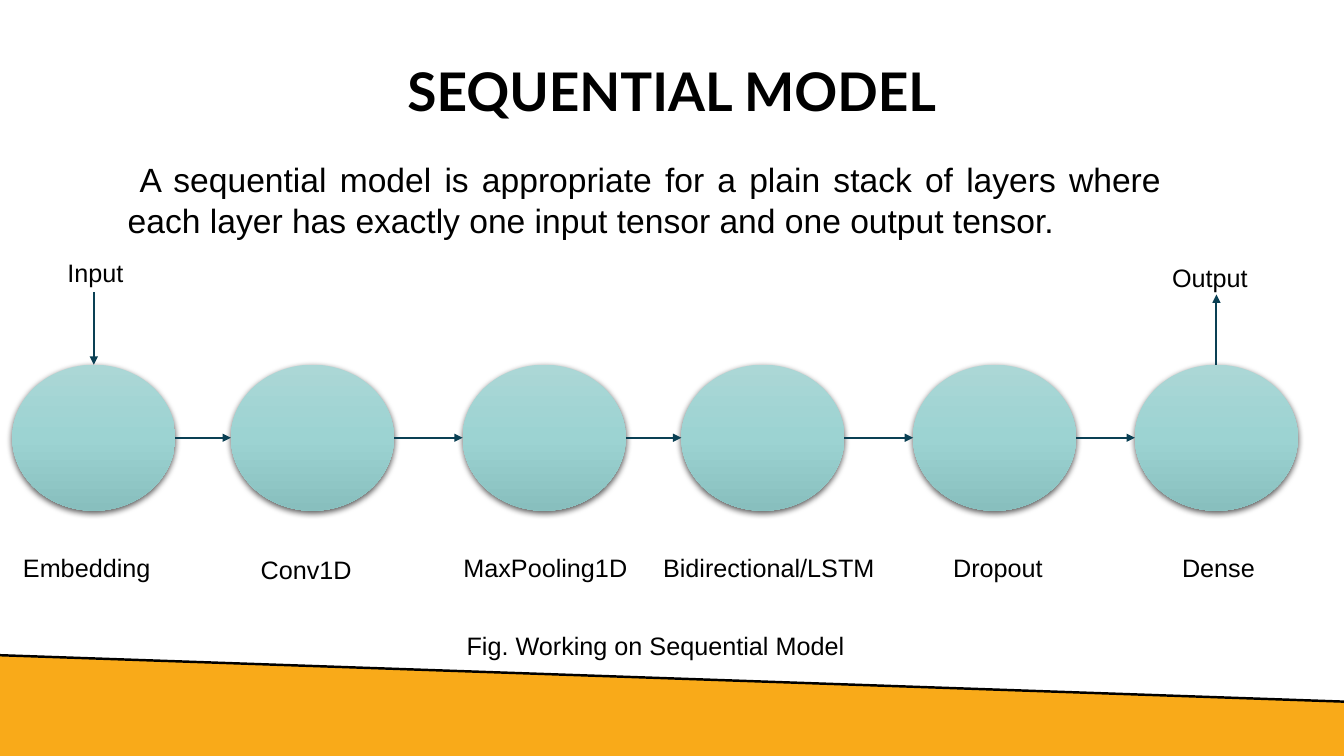
"""Build a slide on the layers of a sequential model."""
import dataclasses
import pptx
import pptx.util
import pptx.dml.color
import pptx.enum.shapes
import pptx.enum.text
import pptx.oxml
import pptx.oxml.ns

Cm = pptx.util.Cm
Align = pptx.enum.text.PP_ALIGN


@dataclasses.dataclass
class Theme:
    ink: str = "000000"
    band: str = "F9AA19"
    arrow: str = "0A4054"
    stops: tuple = ((0, "ABD7D6"), (50, "9CD3D2"), (100, "88BFBE"))
    head: str = "Lato"
    body: str = "Arial"
    title: int = 38
    text: int = 24
    label: int = 18


theme = Theme()
rgb = pptx.dml.color.RGBColor.from_string
space = pptx.oxml.ns.nsdecls("a")

deck = pptx.Presentation()
deck.slide_width, deck.slide_height = Cm(33.87), Cm(19.05)
shapes = deck.slides.add_slide(deck.slide_layouts[6]).shapes


def write(text, left, top, width, height=1.02, size=theme.label, align=Align.LEFT):
    box = shapes.add_textbox(Cm(left), Cm(top), Cm(width), Cm(height))
    box.text_frame.word_wrap = True
    para = box.text_frame.paragraphs[0]
    para.text = text
    para.alignment = align
    para.font.size = pptx.util.Pt(size)
    para.font.name = theme.body
    para.font.color.rgb = rgb(theme.ink)
    return box.text_frame


def link(start, end, color=theme.arrow, width=1.5, arrow=True):
    line = shapes.add_connector(
        pptx.enum.shapes.MSO_CONNECTOR.STRAIGHT, *map(Cm, start + end))
    line.line.color.rgb = rgb(color)
    line.line.width = pptx.util.Pt(width)
    if arrow:
        line.line._get_or_add_ln().append(
            pptx.oxml.parse_xml(f'<a:tailEnd {space} type="triangle"/>'))
    line._element.spPr.append(pptx.oxml.parse_xml(f"<a:effectLst {space}/>"))
    return line


slope = ((0, 16.51), (33.87, 17.68))
edge = [(Cm(x), Cm(y)) for x, y in slope + ((33.87, 19.05), (0, 19.05))]
outline = shapes.build_freeform(*edge[0], scale=1)
outline.add_line_segments(edge[1:], close=True)
band = outline.convert_to_shape()
band.shadow.inherit = False
band.fill.solid()
band.fill.fore_color.rgb = rgb(theme.band)
band.line.fill.background()
link(*slope, color=theme.ink, width=1.75, arrow=False)

title = write("SEQUENTIAL MODEL", 2.33, 0.53, 29.21, 3.68, theme.title, Align.CENTER)
title.vertical_anchor = pptx.enum.text.MSO_ANCHOR.MIDDLE
para = title.paragraphs[0]
para.font.name = theme.head
para.font.bold = True
para.line_spacing = 0.9

intro = write(
    "A sequential model is appropriate for a plain stack of layers where "
    "each layer has exactly one input tensor and one output tensor.",
    2.97, 3.89, 26.54, 3.33, theme.text, Align.JUSTIFY)
intro.paragraphs[0]._p.get_or_add_pPr().set("indent", str(Cm(0.3)))

wide, high, top = 4.11, 3.68, 9.19
mid = top + high / 2
layers = (
    ("Embedding", 0.31, 0.33, 13.79, 4.06),
    ("Conv1D", 5.82, 6.32, 13.84, 3.07),
    ("MaxPooling1D", 11.66, 11.43, 13.79, 5.03),
    ("Bidirectional/LSTM", 17.17, 16.46, 13.79, 6.3),
    ("Dropout", 23.01, 23.77, 13.79, 4.78),
    ("Dense", 28.6, 29.54, 13.79, 4.3),
)
stops = "".join(
    f'<a:gs pos="{spot * 1000}"><a:srgbClr val="{color}"/></a:gs>'
    for spot, color in theme.stops)
grad = (f'<a:gradFill {space} rotWithShape="1"><a:gsLst>{stops}</a:gsLst>'
        '<a:lin ang="5400000" scaled="0"/></a:gradFill>')
shade = (f'<a:outerShdw {space} blurRad="57150" dist="19050" dir="5400000" '
         'algn="ctr" rotWithShape="0"><a:srgbClr val="000000">'
         '<a:alpha val="63000"/></a:srgbClr></a:outerShdw>')

nodes = []
for name, left, start, drop, span in layers:
    node = shapes.add_shape(
        pptx.enum.shapes.MSO_SHAPE.OVAL, Cm(left), Cm(top), Cm(wide), Cm(high))
    node.line.fill.background()
    node.shadow.inherit = False
    props = node._element.spPr
    props.insert(2, pptx.oxml.parse_xml(grad))
    props.find(pptx.oxml.ns.qn("a:effectLst")).append(pptx.oxml.parse_xml(shade))
    nodes.append(node)
    write(name, start, drop, span)

for this, after in zip(layers, layers[1:]):
    link((this[1] + wide, mid), (after[1], mid))

first, last = (layer[1] + wide / 2 for layer in (layers[0], layers[-1]))
link((first, 7.37), (first, top)).end_connect(nodes[0], 0)
link((last, top), (last, 7.42)).begin_connect(nodes[-1], 0)
write("Input", 1.45, 6.35, 2.39)
write("Output", 29.29, 6.48, 3.23)
write("Fig. Working on Sequential Model", 8.53, 15.75, 15.98, align=Align.CENTER)

deck.save("out.pptx")
